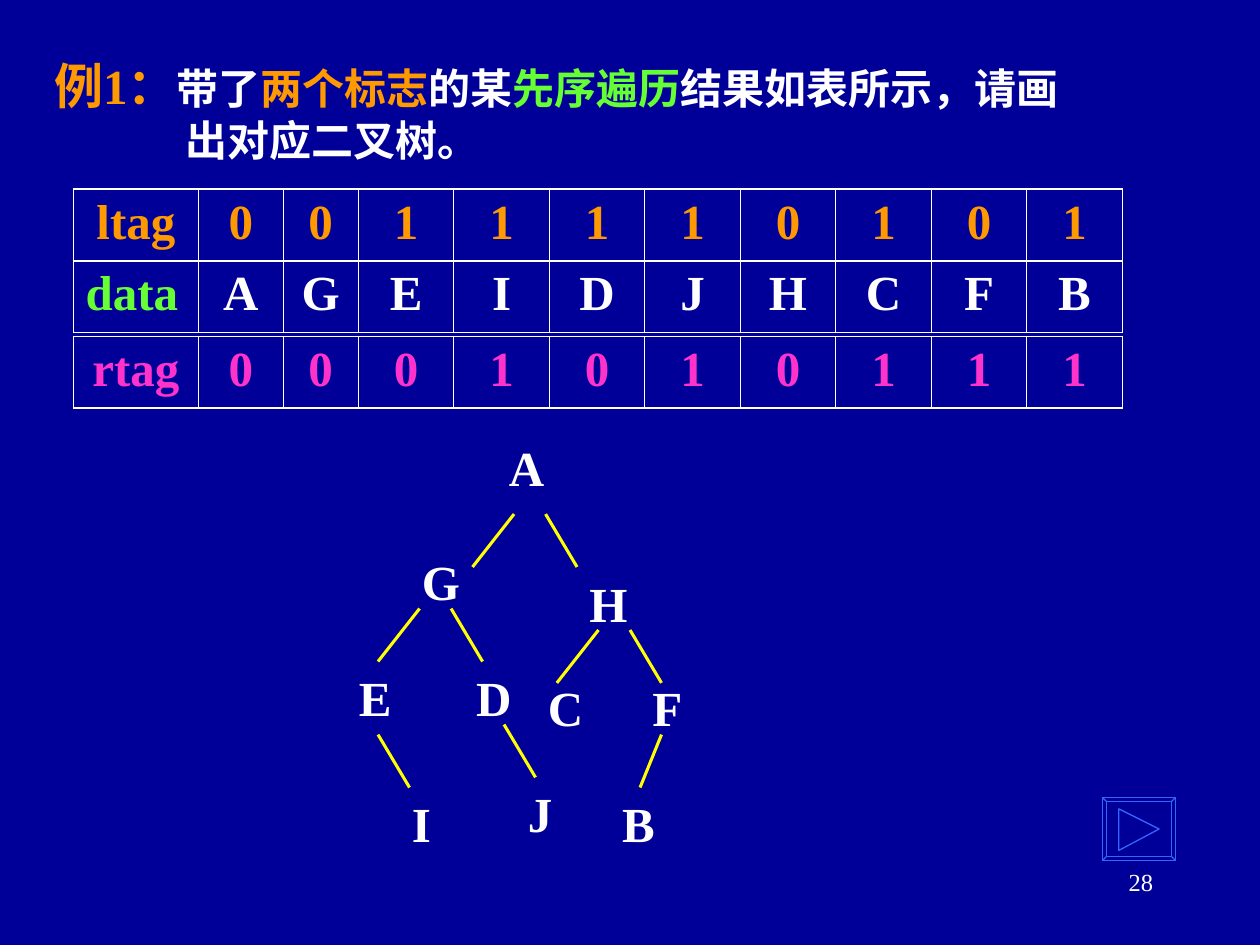
from dataclasses import dataclass

from lxml.etree import SubElement
from pptx import Presentation
from pptx.dml.color import RGBColor
from pptx.enum.shapes import MSO_CONNECTOR
from pptx.enum.text import MSO_ANCHOR, MSO_AUTO_SIZE, PP_ALIGN
from pptx.oxml.ns import qn
from pptx.util import Inches, Pt


@dataclass(frozen=True)
class Theme:
    font: str = "Times New Roman"
    background: str = "000099"
    white: str = "FFFFFF"
    orange: str = "FF9900"
    green: str = "66FF33"
    pink: str = "FF33CC"
    branch: str = "FFFF00"
    button: str = "3366FF"
    large: int = 28
    question: int = 24
    small: int = 14
    thin: float = 0.45
    thick: float = 1.08
    plain_table: str = "{2D5ABB26-0587-4C30-8999-92F81FD0307C}"


THEME = Theme()

# Content
QUESTION = [
    ("例1：", THEME.large, THEME.orange),
    ("带了", THEME.question, THEME.white),
    ("两个标志", THEME.question, THEME.orange),
    ("的某", THEME.question, THEME.white),
    ("先序遍历", THEME.question, THEME.green),
    ("结果如表所示，请画出对应二叉树。", THEME.question, THEME.white),
]
# label, values, label colour, value colour, label alignment, rule weight
LTAG = ("ltag", "0011110101", THEME.orange, THEME.orange, PP_ALIGN.CENTER, THEME.thick)
DATA = ("data", "AGEIDJHCFB", THEME.green, THEME.white, PP_ALIGN.LEFT, THEME.thin)
RTAG = ("rtag", "0001010111", THEME.pink, THEME.pink, PP_ALIGN.CENTER, THEME.thick)
# top, rows; the data table leaves room above and below for the tag tables
TABLES = [(1.5, [None, DATA, None]), (1.5, [LTAG]), (2.67, [RTAG])]
COLUMN_WIDTHS = [1, 0.67, 0.6] + [0.76] * 8
TABLE_LEFT, TABLE_WIDTH, ROW_HEIGHT = 0.58, 8.33, 0.57
# letter: left, top, width
NODES = {
    "A": (3.94, 3.42, 0.48),
    "G": (3.25, 4.33, 0.5),
    "H": (4.58, 4.5, 0.5),
    "E": (2.75, 5.25, 0.46),
    "D": (3.68, 5.25, 0.48),
    "C": (4.25, 5.33, 0.48),
    "F": (5.08, 5.33, 0.44),
    "I": (3.17, 6.25, 0.35),
    "J": (4.09, 6.17, 0.39),
    "B": (4.84, 6.25, 0.46),
}
NODE_HEIGHT = 0.57
# Branch starts and horizontal run; every branch falls by the same amount
LEFT_RUN, RIGHT_RUN, STEEP_RUN, FALL = -0.33, 0.25, -0.17, 0.42
BRANCHES = [
    (4.08, 4.08, LEFT_RUN), (4.33, 4.08, RIGHT_RUN),  # A
    (3.33, 4.83, LEFT_RUN), (3.58, 4.83, RIGHT_RUN),  # G
    (4.75, 5, LEFT_RUN), (5, 5, RIGHT_RUN),  # H
    (3, 5.83, RIGHT_RUN),  # E
    (4, 5.75, RIGHT_RUN),  # D
    (5.25, 5.83, STEEP_RUN),  # F
]
BUTTON_BOX, BEVEL = (8.75, 6.33, 9.33, 6.83), 0.03
ARROW = [(8.88, 6.42), (9.2, 6.58), (8.88, 6.75)]
PAGE_NUMBER = "28"


def colour(value):
    return RGBColor.from_string(value)


def style(paragraph, size, tint, bold=True):
    paragraph.font.name = THEME.font
    paragraph.font.size = Pt(size)
    paragraph.font.bold = bold
    paragraph.font.color.rgb = colour(tint)


def add_label(slide, text, box, size, bold=True, align=PP_ALIGN.LEFT, wrap=False):
    frame = slide.shapes.add_textbox(*map(Inches, box)).text_frame
    frame.word_wrap = wrap
    frame.auto_size = MSO_AUTO_SIZE.NONE if wrap else MSO_AUTO_SIZE.SHAPE_TO_FIT_TEXT
    paragraph = frame.paragraphs[0]
    paragraph.text = text
    paragraph.alignment = align
    style(paragraph, size, THEME.white, bold)


def add_question(slide):
    title = slide.shapes.title
    title.left, title.top, title.width, title.height = map(Inches, (0.33, 0.25, 8.5, 1.25))
    title.text_frame.vertical_anchor = MSO_ANCHOR.MIDDLE
    title.text_frame.auto_size = MSO_AUTO_SIZE.NONE
    paragraph = title.text_frame.paragraphs[0]
    paragraph.alignment = PP_ALIGN.LEFT
    indents = paragraph._p.get_or_add_pPr()
    indents.set("marL", str(Inches(1.04)))
    indents.set("indent", str(-Inches(1.04)))
    paragraph.font.name = THEME.font
    paragraph.font.bold = True
    for text, size, tint in QUESTION:
        run = paragraph.add_run()
        run.text = text
        run.font.size = Pt(size)
        run.font.color.rgb = colour(tint)


def set_borders(cell, rule):
    properties = cell._tc.get_or_add_tcPr()
    weights = {"lnL": THEME.thin, "lnR": THEME.thin, "lnT": rule, "lnB": rule}
    for position, (side, weight) in enumerate(weights.items()):
        border = properties.makeelement(qn(f"a:{side}"), {"w": str(Pt(weight))})
        fill = SubElement(border, qn("a:solidFill"))
        SubElement(fill, qn("a:srgbClr"), val=THEME.white)
        properties.insert(position, border)


def fill_row(cells, label, values, label_tint, value_tint, label_align, rule):
    for index, (cell, text) in enumerate(zip(cells, [label, *values])):
        set_borders(cell, rule)
        paragraph = cell.text_frame.paragraphs[0]
        paragraph.text = text
        paragraph.alignment = PP_ALIGN.CENTER if index else label_align
        style(paragraph, THEME.large, value_tint if index else label_tint)


def add_traversal_table(slide, top, rows):
    table = slide.shapes.add_table(
        len(rows), len(COLUMN_WIDTHS), Inches(TABLE_LEFT), Inches(top),
        Inches(TABLE_WIDTH), Inches(ROW_HEIGHT * len(rows))).table
    table.first_row = table.horz_banding = False
    table._tbl.tblPr.find(qn("a:tableStyleId")).text = THEME.plain_table
    for column, width in zip(table.columns, COLUMN_WIDTHS):
        column.width = Inches(width * TABLE_WIDTH / sum(COLUMN_WIDTHS))
    for cell in table.iter_cells():
        cell.fill.background()
    for row, content in zip(table.rows, rows):
        if content:
            fill_row(row.cells, *content)


def add_branch(slide, x, y, run):
    branch = slide.shapes.add_connector(
        MSO_CONNECTOR.STRAIGHT, *map(Inches, (x, y, x + run, y + FALL)))
    branch.line.color.rgb = colour(THEME.branch)
    branch.line.width = Pt(1.75)
    SubElement(branch._element.spPr, qn("a:effectLst"))


def corners(left, top, right, bottom):
    return [(left, top), (right, top), (right, bottom), (left, bottom)]


def add_next_button(slide):
    left, top, right, bottom = BUTTON_BOX
    outer = corners(*BUTTON_BOX)
    inner = corners(left + BEVEL, top + BEVEL, right - BEVEL, bottom - BEVEL)
    outlines = [(outer, True), (inner, True), (ARROW, True)]
    outlines += [(edge, False) for edge in zip(outer, inner)]
    builder = slide.shapes.build_freeform()
    for points, closed in outlines:
        start, *others = [(Inches(x), Inches(y)) for x, y in points]
        builder.move_to(*start)
        builder.add_line_segments(others, close=closed)
    button = builder.convert_to_shape()
    button.shadow.inherit = False
    button.fill.background()
    button.line.color.rgb = colour(THEME.button)
    button.line.width = Pt(0.75)


def main():
    deck = Presentation()
    deck.slide_width, deck.slide_height = Inches(10), Inches(7.5)
    slide = deck.slides.add_slide(deck.slide_layouts[5])
    slide.background.fill.solid()
    slide.background.fill.fore_color.rgb = colour(THEME.background)

    add_question(slide)
    # Traversal tables
    for top, rows in TABLES:
        add_traversal_table(slide, top, rows)
    # Binary tree
    for letter, (left, top, width) in NODES.items():
        add_label(slide, letter, (left, top, width, NODE_HEIGHT), THEME.large)
    for branch in BRANCHES:
        add_branch(slide, *branch)
    # Navigation and page number
    add_next_button(slide)
    add_label(slide, PAGE_NUMBER, (7.17, 6.83, 2.08, 0.5), THEME.small,
              bold=False, align=PP_ALIGN.RIGHT, wrap=True)
    deck.save("out.pptx")


if __name__ == "__main__":
    main()
